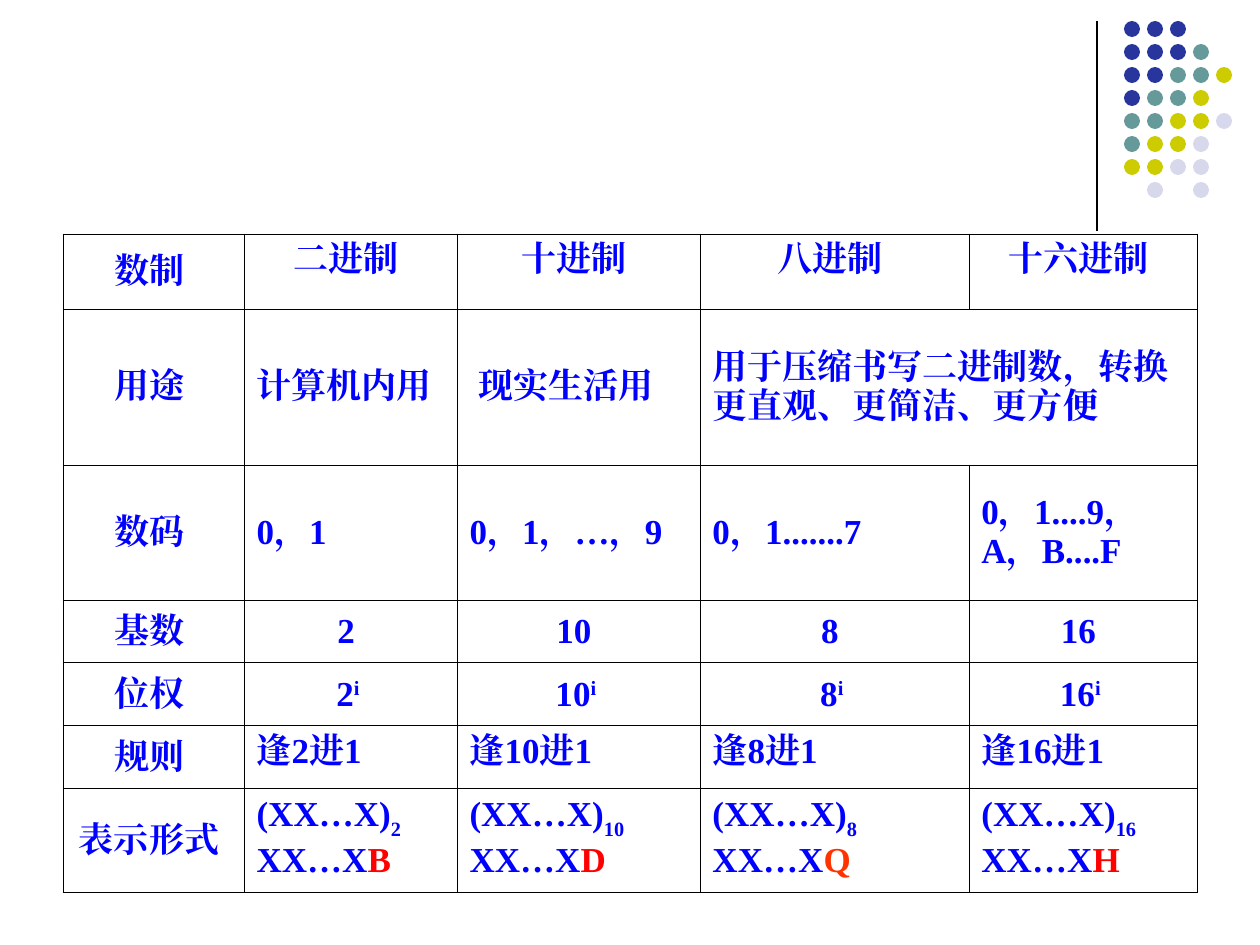
from lxml import etree
from pptx import Presentation
from pptx import util as u
from pptx.dml.color import RGBColor
from pptx.enum import lang, shapes, text
from pptx.oxml import parse_xml
from pptx.oxml.ns import nsdecls, qn

PX = 914400 // 126
FONT = "Times New Roman"
COLORS = {"text": "0000FF", "suffix": "FF0000", "octal": "FF3300", "line": "000000",
          "N": "27359D", "T": "669999", "Y": "CCCC00", "L": "D8D8EC"}


def color(name):
    return RGBColor.from_string(COLORS[name])


def add_border(cell, side):
    cell._tc.get_or_add_tcPr().append(parse_xml(
        f'<a:ln{side} {nsdecls("a")} w="5715"><a:solidFill><a:srgbClr val="{COLORS["line"]}"/>'
        f'</a:solidFill></a:ln{side}>'))


deck = Presentation()
deck.slide_width, deck.slide_height = 1260 * PX, 945 * PX
page = deck.slides.add_slide(deck.slide_layouts[6])

# Vertical rule beside the dots
rule = page.shapes.add_connector(shapes.MSO_CONNECTOR.STRAIGHT,
                                 1097 * PX, 21 * PX, 1097 * PX, 231 * PX)
rule.line.color.rgb = color("line")
rule.line.width = u.Pt(0.75)
etree.SubElement(rule._element.spPr, qn("a:effectLst"))

# Dot pattern: one letter per dot colour
DOTS = ["NNN", "NNNT", "NNTTY", "NTTY", "TTYYL", "TYYL", "YYLL", " L L"]
for row, letters in enumerate(DOTS):
    for column, letter in enumerate(letters):
        if letter == " ":
            continue
        dot = page.shapes.add_shape(shapes.MSO_SHAPE.OVAL, (1124 + 23 * column) * PX,
                                    (21 + 23 * row) * PX, 16 * PX, 16 * PX)
        dot.shadow.inherit = False
        dot.fill.solid()
        dot.fill.fore_color.rgb = color(letter)
        dot.line.fill.background()

# Table content: a cell is a list of paragraphs, a paragraph a list of
# (wording, baseline in percent, colour) runs
BASES = ["2", "10", "8", "16"]
SUFFIXES = [("B", "suffix"), ("D", "suffix"), ("Q", "octal"), ("H", "suffix")]
plain_rows = [
    ["数制 ", "二进制 ", "十进制 ", "八进制 ", "十六进制 "],
    ["用途 ", "计算机内用", " 现实生活用", "用于压缩书写二进制数，转换更直观、更简洁、更方便", ""],
    ["数码 ", "0，1", "0，1，…，9", "0，1.......7", "0，1....9，A，B....F"],
    ["基数 "] + [f"{base} " for base in BASES],
    ["位权 "],
    ["规则 "] + [f"逢{base}进1" for base in BASES],
    ["表示形式 "],
]
rows = [[[[(words, 0, "text")]] for words in row] for row in plain_rows]
for base, (suffix, suffix_color) in zip(BASES, SUFFIXES):
    rows[4].append([[(base, 0, "text"), ("i ", 30, "text")]])
    rows[6].append([[("(XX…X)", 0, "text"), (base, -30, "text")],
                    [("XX…X", 0, "text"), (suffix, 0, suffix_color)]])

# Table grid
WIDTHS = [181, 213, 243, 269, 228]
HEIGHTS = [75, 156, 135, 63, 63, 63, 104]
table = page.shapes.add_table(len(HEIGHTS), len(WIDTHS), 63 * PX, 234 * PX,
                              sum(WIDTHS) * PX, sum(HEIGHTS) * PX).table
table.first_row = table.horz_banding = False
for column, width in zip(table.columns, WIDTHS):
    column.width = width * PX
for row, height in zip(table.rows, HEIGHTS):
    row.height = height * PX
table.cell(1, 3).merge(table.cell(1, 4))

# Cells
CENTERED_ROWS = (0, 3, 4)
TOP_ROWS = (0, 5, 6)
FORMAT = {"name": FONT, "size": u.Pt(20), "bold": True,
          "language_id": lang.MSO_LANGUAGE_ID.SIMPLIFIED_CHINESE
          if hasattr(lang.MSO_LANGUAGE_ID, "SIMPLIFIED_CHINESE") else None}
for r, row in enumerate(rows):
    for c, paragraphs in enumerate(row):
        cell = table.cell(r, c)
        for side in "LRTB":
            add_border(cell, side)
        cell.fill.background()
        if cell.is_spanned:
            continue
        at_top = c > 0 and r in TOP_ROWS
        cell.vertical_anchor = text.MSO_ANCHOR.TOP if at_top else text.MSO_ANCHOR.MIDDLE
        centered = c == 0 or r in CENTERED_ROWS
        for index, runs in enumerate(paragraphs):
            frame = cell.text_frame
            para = frame.add_paragraph() if index else frame.paragraphs[0]
            para.alignment = text.PP_ALIGN.CENTER if centered else text.PP_ALIGN.LEFT
            for words, baseline, run_color in runs:
                span = para.add_run()
                span.text = words
                for name, value in FORMAT.items():
                    setattr(span.font, name, value)
                span.font.color.rgb = color(run_color)
                properties = span._r.get_or_add_rPr()
                etree.SubElement(properties, qn("a:ea"), typeface=FONT)
                if baseline:
                    properties.set("baseline", str(baseline * 1000))

deck.save("out.pptx")
